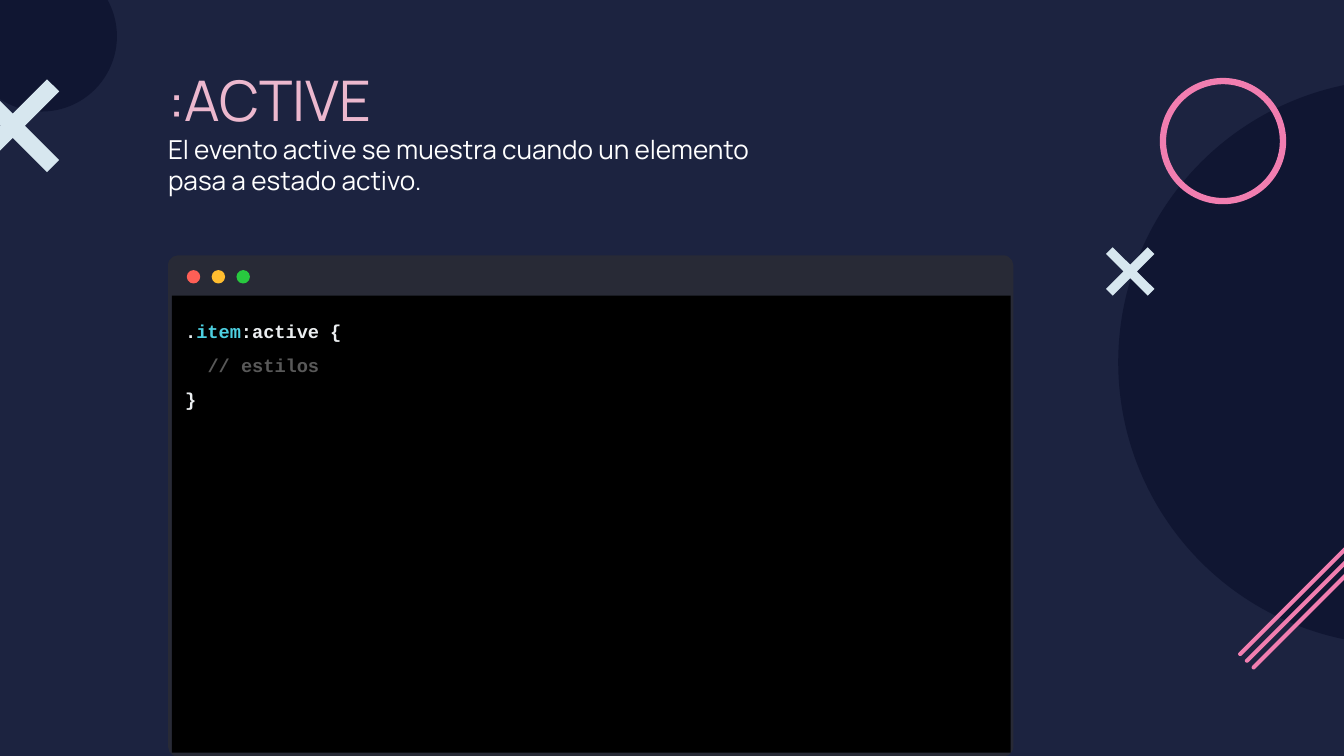
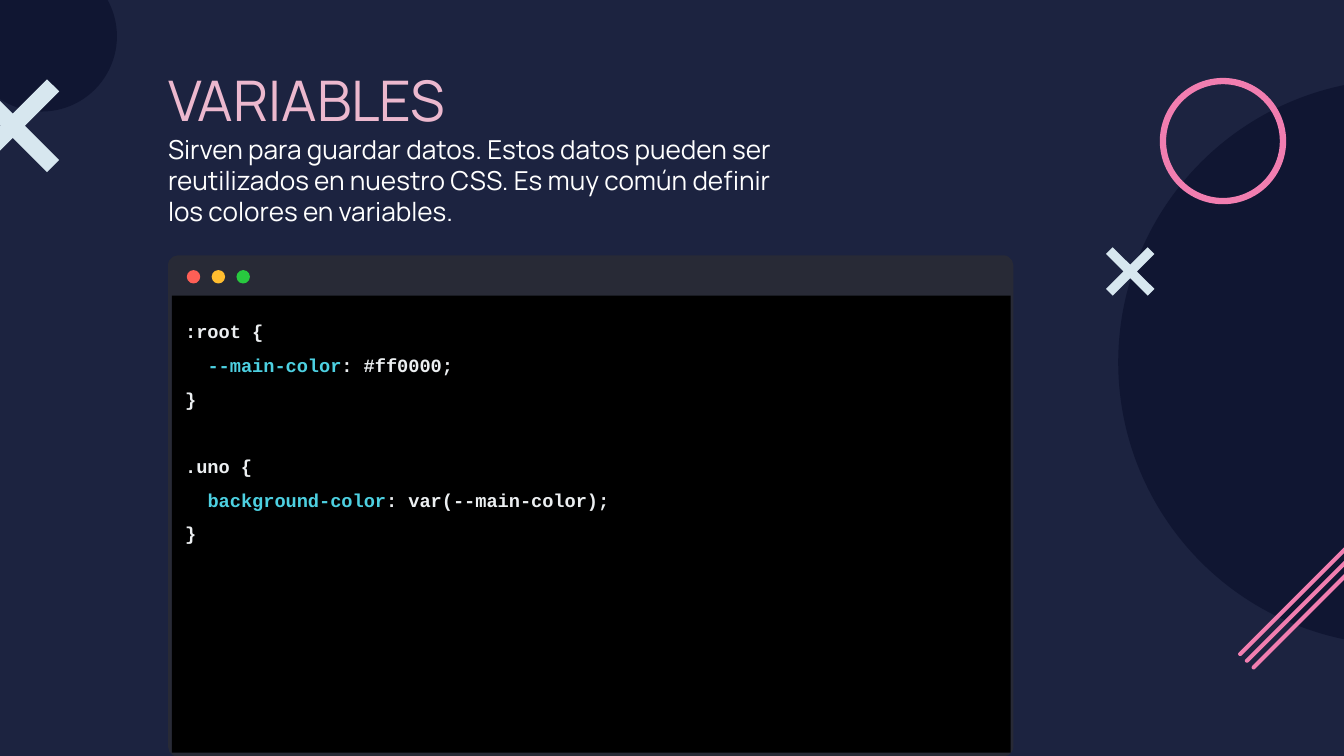
from pptx import Presentation
from pptx.dml.color import RGBColor
from pptx.enum.shapes import MSO_SHAPE
from pptx.enum.text import MSO_ANCHOR, MSO_AUTO_SIZE, PP_ALIGN
from pptx.util import Inches, Pt

OVAL = MSO_SHAPE.OVAL
DONUT = MSO_SHAPE.DONUT
RECTANGLE = MSO_SHAPE.RECTANGLE
ROUNDED = MSO_SHAPE.ROUNDED_RECTANGLE
TOP = MSO_ANCHOR.TOP
LEFT = PP_ALIGN.LEFT
NO_AUTOFIT = MSO_AUTO_SIZE.NONE

NAVY = RGBColor(0x1C, 0x23, 0x40)
DARK_NAVY = RGBColor(0x10, 0x16, 0x32)
ROSE = RGBColor(0xEC, 0xB8, 0xCE)
PINK = RGBColor(0xF1, 0x7E, 0xB0)
ICE = RGBColor(0xD7, 0xE7, 0xEF)
WHITE = RGBColor(0xFF, 0xFF, 0xFF)
BLACK = RGBColor(0x00, 0x00, 0x00)
FRAME = RGBColor(0x28, 0x2A, 0x36)
CODE = RGBColor(0xEC, 0xEF, 0xF1)
CYAN = RGBColor(0x4D, 0xD0, 0xE1)
GRAY = RGBColor(0x59, 0x59, 0x59)
RED = RGBColor(0xFF, 0x5F, 0x56)
AMBER = RGBColor(0xFF, 0xBD, 0x2F)
GREEN = RGBColor(0x28, 0xC9, 0x3F)

HEADING_FONT = "Manrope"
CODE_FONT = "Courier New"
CODE_INDENT = Pt(12)
CODE_GAP = Pt(18)

PAGE_WIDTH = Inches(10)
PAGE_HEIGHT = PAGE_WIDTH * 9 // 16
TITLE_BOX = (1.15, 0.39, 4.86, 0.86)
WINDOW_BOX = (1.25, 1.9, 6.29, 3.73)

SLIDES = [
    {
        "title": ":ACTIVE",
        "summary": "El evento active se muestra cuando un elemento pasa a estado activo.",
        "code": [
            {"spans": [(".", CODE), ("item", CYAN), (":active {", CODE)]},
            {"spans": [("// estilos", GRAY)], "indent": CODE_INDENT},
            {"spans": [("}", CODE)]},
        ],
    },
    {
        "title": "VARIABLES",
        "summary": "Sirven para guardar datos. Estos datos pueden ser reutilizados en nuestro CSS. "
                   "Es muy común definir los colores en variables.",
        "code": [
            {"spans": [(":root {", CODE)]},
            {"spans": [("--main-color", CYAN), (": #ff0000;", CODE)], "indent": CODE_INDENT},
            {"spans": [("}", CODE)]},
            {"spans": [(".uno {", CODE)], "gap": CODE_GAP},
            {"spans": [("background-color", CYAN), (": var(--main-color);", CODE)], "indent": CODE_INDENT},
            {"spans": [("}", CODE)]},
        ],
    },
]


def paint(shape, color):
    shape.shadow.inherit = False
    shape.fill.solid()
    shape.fill.fore_color.rgb = color
    shape.line.fill.background()
    return shape


def add_box(shapes, kind, left, top, width, height, color):
    shape = shapes.add_shape(kind, Inches(left), Inches(top), Inches(width), Inches(height))
    return paint(shape, color)


def prepare_frame(frame):
    frame.word_wrap = True
    frame.auto_size = NO_AUTOFIT
    frame.vertical_anchor = TOP
    frame.margin_left = frame.margin_right = Inches(0.1)
    frame.margin_top = frame.margin_bottom = Inches(0.1)


def next_para(frame, first, spacing=1.0, gap=0, indent=0):
    para = frame.paragraphs[0] if first else frame.add_paragraph()
    para.alignment = LEFT
    para.line_spacing = spacing
    para.space_before = gap
    if indent:
        para._p.get_or_add_pPr().set("marL", str(indent))
    return para


def add_span(para, text, *, font, size, color, bold=False):
    span = para.add_run()
    span.text = text
    span.font.name = font
    span.font.size = Pt(size)
    span.font.color.rgb = color
    span.font.bold = bold


def add_heading(page, box, title, summary):
    holder = page.shapes.title
    holder.left, holder.top, holder.width, holder.height = map(Inches, box)
    frame = holder.text_frame
    prepare_frame(frame)
    add_span(next_para(frame, True), title, font=HEADING_FONT, size=30, color=ROSE)
    add_span(next_para(frame, False), summary, font=HEADING_FONT, size=14, color=WHITE)


def add_code_window(page, box, code):
    left, top, width, height = box
    window = page.shapes.add_group_shape().shapes
    add_box(window, ROUNDED, *box, FRAME).adjustments[0] = 0.02
    for index, color in enumerate((RED, AMBER, GREEN)):
        add_box(window, OVAL, left + 0.14 + index * 0.37 / 2, top + 0.11, 0.1, 0.1, color)

    screen = add_box(page.shapes, RECTANGLE, left + 0.03, top + 0.3, width - 0.05, height - 0.33, BLACK)
    frame = screen.text_frame
    prepare_frame(frame)
    for index, line in enumerate(code):
        para = next_para(frame, index == 0, 1.5, line.get("gap", 0), line.get("indent", 0))
        for text, color in line["spans"]:
            add_span(para, text, font=CODE_FONT, size=10, color=color, bold=True)


def add_cross(page, left, top, size, arm):
    middle, far = size / 2, size - arm
    corners = [
        (arm, 0), (0, arm), (middle - arm, middle), (0, far),
        (arm, size), (middle, middle + arm), (far, size), (size, far),
        (middle + arm, middle), (size, arm), (far, 0), (middle, middle - arm),
    ]
    points = [(Inches(left + x), Inches(top + y)) for x, y in corners]
    builder = page.shapes.build_freeform(*points[0])
    builder.add_line_segments(points[1:], close=True)
    paint(builder.convert_to_shape(), ICE)


def add_decoration(page):
    add_box(page.shapes, OVAL, -0.25, -0.29, 1.12, 1.12, DARK_NAVY)
    add_box(page.shapes, OVAL, 8.32, 0.59, 4.21, 4.21, DARK_NAVY)
    add_cross(page, 8.23, 1.84, 0.36, 0.05)
    add_box(page.shapes, DONUT, 8.63, 0.58, 0.94, 0.94, PINK).adjustments[0] = 0.05
    for index in range(3):
        shift = index * 0.05
        stripe = add_box(page.shapes, ROUNDED, 9.03 + shift, 4.41 + shift, 1.28, 0.03, PINK)
        stripe.adjustments[0] = 0.5
        stripe.rotation = -45
    add_cross(page, -0.25, 0.59, 0.69, 0.09)


def add_code_slide(deck, content):
    page = deck.slides.add_slide(deck.slide_layouts[5])
    page.background.fill.solid()
    page.background.fill.fore_color.rgb = NAVY
    add_code_window(page, WINDOW_BOX, content["code"])
    add_heading(page, TITLE_BOX, content["title"], content["summary"])
    add_decoration(page)


def main():
    deck = Presentation()
    deck.slide_width, deck.slide_height = PAGE_WIDTH, PAGE_HEIGHT
    for content in SLIDES:
        add_code_slide(deck, content)
    deck.save("out.pptx")


if __name__ == "__main__":
    main()
